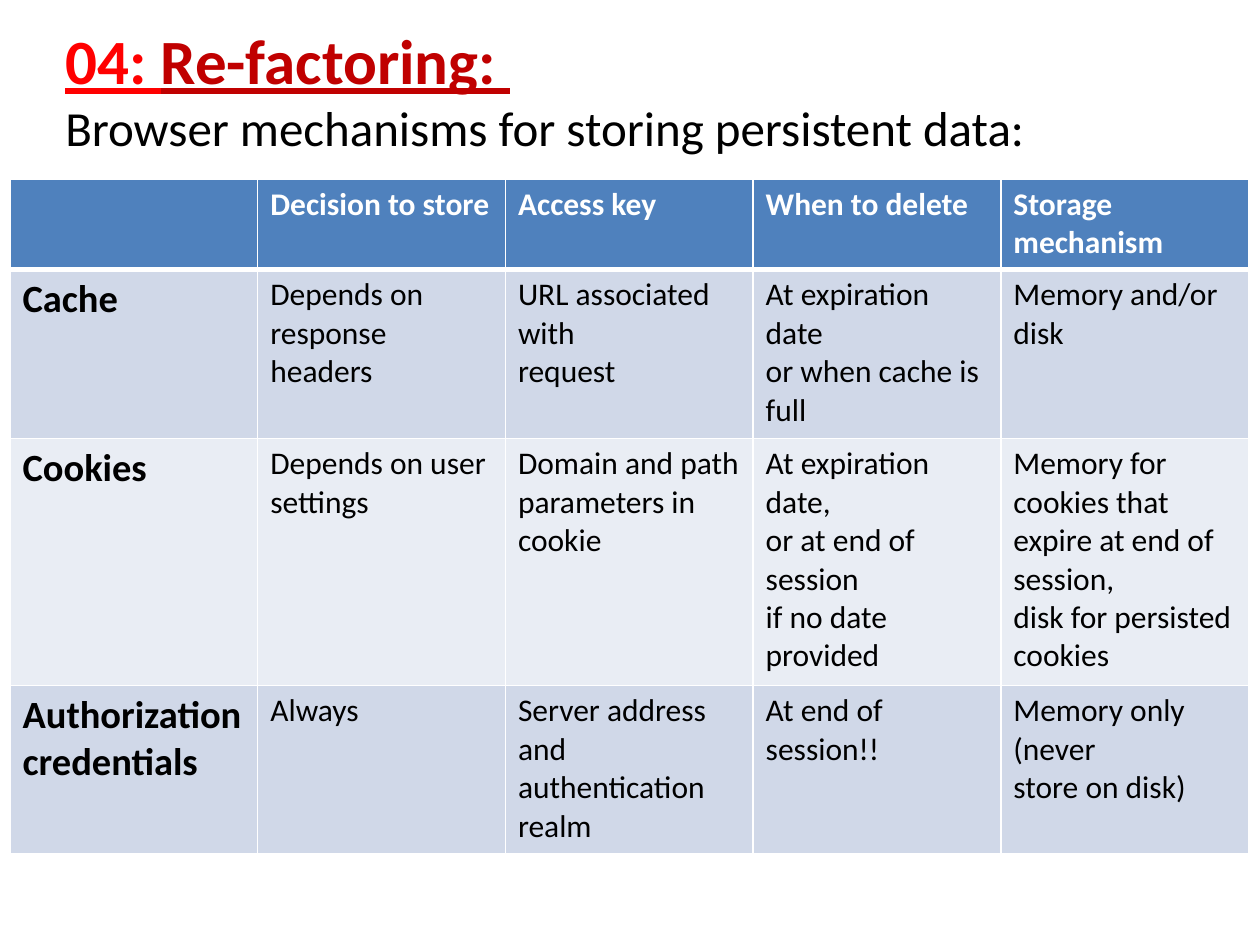
import pptx
import pptx.dml.color
import pptx.enum.text
import pptx.oxml.ns
import pptx.util
from lxml import etree

Inches = pptx.util.Inches
Pt = pptx.util.Pt

COLORS = {
    "number": "FF0000",
    "topic": "C00000",
    "text": "000000",
    "white": "FFFFFF",
    "header": "4F81BD",
    "band_dark": "D0D8E8",
    "band_light": "E9EDF4",
}

FORMATS = {
    "number": {"size": Pt(36), "bold": True, "underline": True},
    "topic": {"size": Pt(36), "bold": True, "underline": True},
    "subtitle": {"size": Pt(28), "bold": False, "underline": False},
    "header": {"size": Pt(18), "bold": True},
    "mechanism": {"size": Pt(22), "bold": True},
    "detail": {"size": Pt(18), "bold": False},
}

STORAGE_ROWS = [
    ["", "Decision to store", "Access key", "When to delete", "Storage mechanism"],
    [
        "Cache",
        "Depends on response\nheaders",
        "URL associated with\nrequest",
        "At expiration date\nor when cache is\nfull",
        "Memory and/or disk",
    ],
    [
        "Cookies",
        "Depends on user\nsettings",
        "Domain and path\nparameters in cookie",
        "At expiration date,\nor at end of session\nif no date provided",
        "Memory for cookies that\nexpire at end of session,\ndisk for persisted cookies",
    ],
    [
        "Authorization\ncredentials",
        "Always",
        "Server address and\nauthentication realm",
        "At end of session!!",
        "Memory only (never\nstore on disk)",
    ],
]
ROW_HEIGHTS = [0.72, 1.34, 1.96, 1.34]


def rgb(color):
    return pptx.dml.color.RGBColor.from_string(COLORS[color])


def style_font(font, role, color):
    font.name = "Calibri"
    font.color.rgb = rgb(color)
    for attribute, value in FORMATS[role].items():
        setattr(font, attribute, value)


def set_borders(cell, widths):
    properties = cell._tc.get_or_add_tcPr()
    for side, width in widths.items():
        line = etree.SubElement(
            properties, pptx.oxml.ns.qn(f"a:ln{side}"), w=str(Pt(width))
        )
        fill = etree.SubElement(line, pptx.oxml.ns.qn("a:solidFill"))
        etree.SubElement(fill, pptx.oxml.ns.qn("a:srgbClr"), val=COLORS["white"])


def add_heading(slide, left, top, width, height):
    heading = slide.shapes.add_textbox(left, top, width, height).text_frame
    heading.word_wrap = True
    heading.vertical_anchor = pptx.enum.text.MSO_ANCHOR.MIDDLE
    paragraph = heading.paragraphs[0]
    for text, role, color in [
        ("04: ", "number", "number"),
        ("Re-factoring: ", "topic", "topic"),
        ("Browser mechanisms for storing persistent data:", "subtitle", "text"),
    ]:
        if role == "subtitle":
            paragraph.add_line_break()
        run = paragraph.add_run()
        run.text = text
        style_font(run.font, role, color)


def fill_cell(cell, text, row, column):
    if row == 0:
        role, color, background = "header", "white", "header"
    else:
        role = "detail" if column else "mechanism"
        color = "text"
        background = "band_dark" if row % 2 else "band_light"
    set_borders(
        cell,
        {"L": 1, "R": 1, "T": 3 if row == 1 else 1, "B": 3 if row == 0 else 1},
    )
    cell.fill.solid()
    cell.fill.fore_color.rgb = rgb(background)
    cell.text = text
    for paragraph in cell.text_frame.paragraphs:
        for run in paragraph.runs:
            style_font(run.font, role, color)


def add_storage_table(slide, left, top, width, height):
    column_count = len(STORAGE_ROWS[0])
    table = slide.shapes.add_table(
        len(STORAGE_ROWS), column_count, left, top, width, height
    ).table
    for column in table.columns:
        column.width = width // column_count
    for row, (texts, row_height) in enumerate(zip(STORAGE_ROWS, ROW_HEIGHTS)):
        table.rows[row].height = Inches(row_height)
        for column, text in enumerate(texts):
            fill_cell(table.cell(row, column), text, row, column)


def main():
    presentation = pptx.Presentation()
    presentation.slide_width = Inches(10)
    presentation.slide_height = Inches(7.5)
    slide = presentation.slides.add_slide(presentation.slide_layouts[6])
    add_heading(slide, Inches(0.42), Inches(0.08), Inches(9), Inches(1.25))
    add_storage_table(
        slide, Inches(0.08), Inches(1.42), Inches(9.83), Inches(sum(ROW_HEIGHTS))
    )
    presentation.save("out.pptx")


if __name__ == "__main__":
    main()
